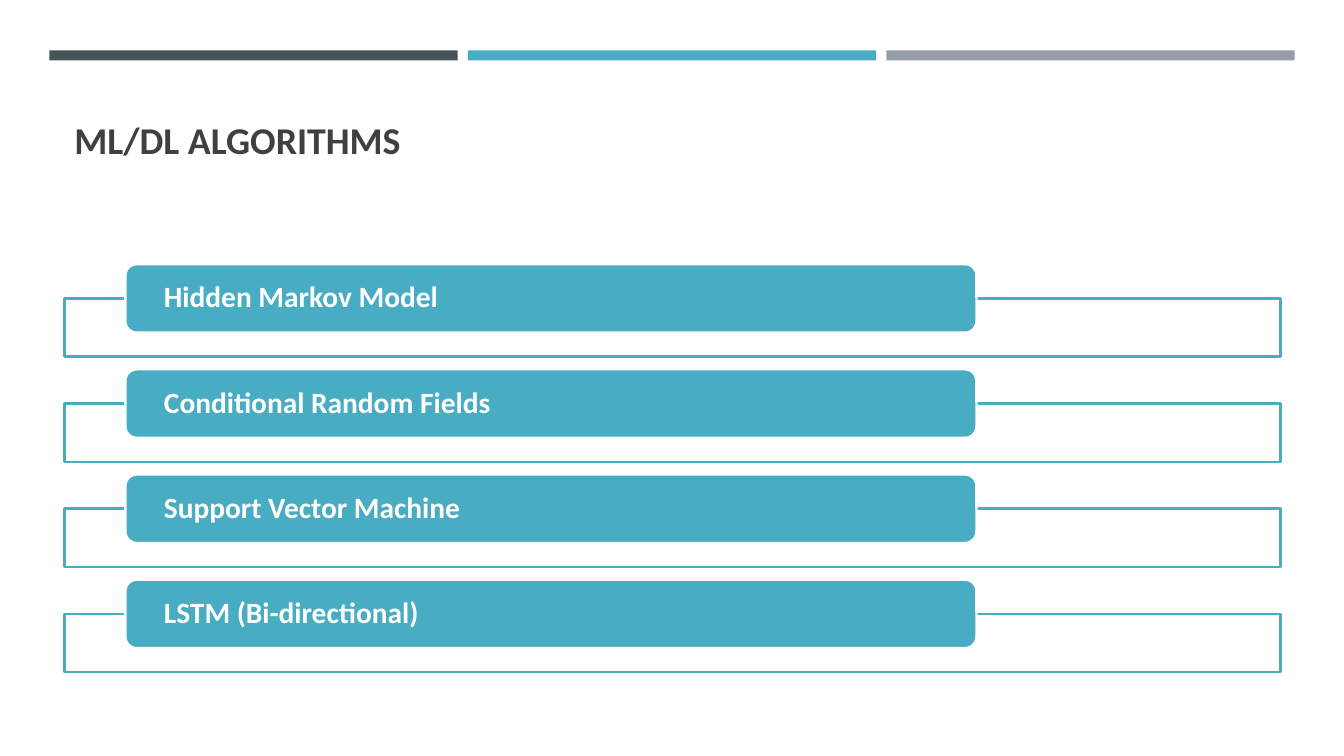
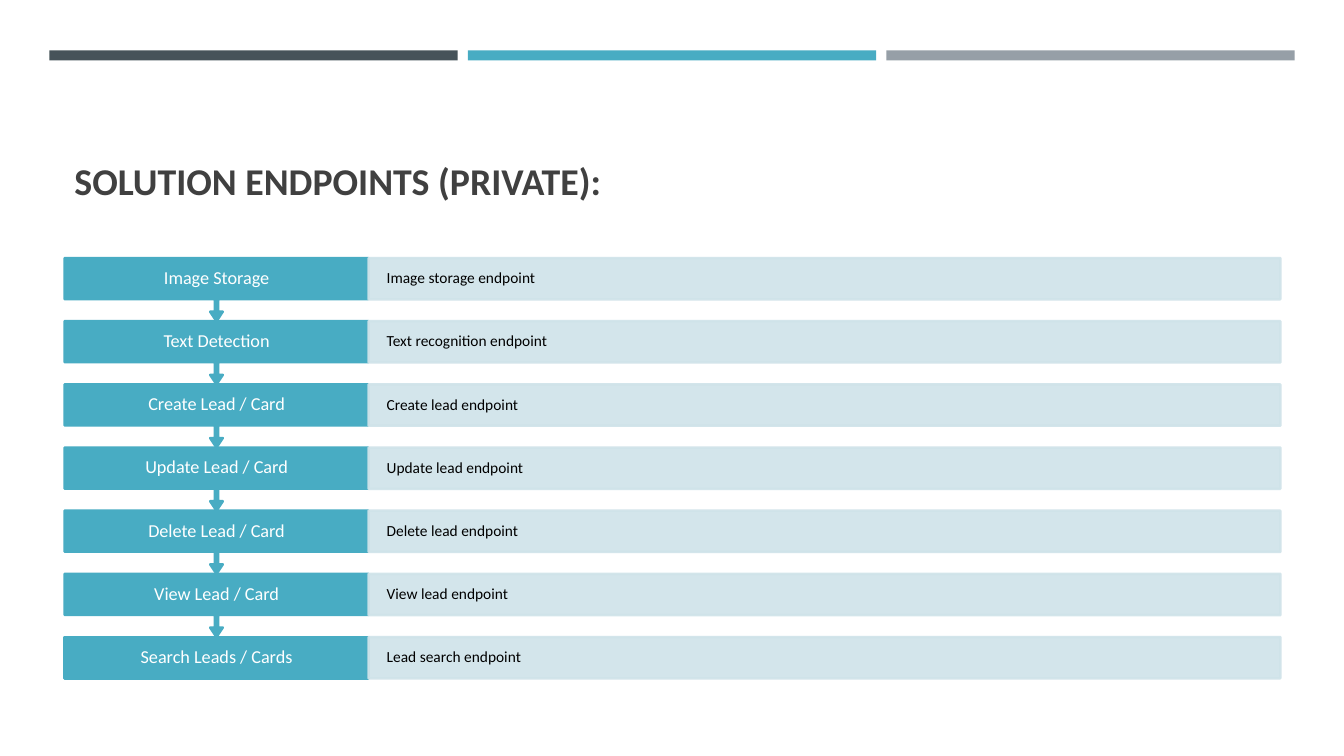
from dataclasses import dataclass

from lxml import etree
from pptx import Presentation
from pptx.dml.color import RGBColor
from pptx.enum.shapes import MSO_SHAPE
from pptx.enum.text import MSO_ANCHOR, PP_ALIGN
from pptx.oxml.ns import qn
from pptx.util import Inches, Pt


@dataclass(frozen=True)
class Theme:
    font: str = "Calibri"
    dark: str = "465359"
    accent: str = "48ACC3"
    grey: str = "969FA7"
    pale: str = "CFE3E9"
    white: str = "FFFFFF"
    black: str = "000000"
    heading: str = "404040"
    title_size: int = 27
    tab_size: int = 21
    step_size: int = 13
    note_size: int = 11
    line_width: float = 1.75
    line_spacing: float = 0.9


@dataclass(frozen=True)
class Box:
    """A rectangle in inches."""
    x: float
    y: float
    w: float
    h: float

    def emu(self):
        return [Inches(v) for v in (self.x, self.y, self.w, self.h)]

    def share(self, x, y, w, h):
        return Box(self.x + x * self.w, self.y + y * self.h, w * self.w, h * self.h)

    def rows(self, n, height):
        """Split into n rows of one height, spread evenly from top to bottom."""
        pitch = (self.h - height) / (n - 1)
        return [Box(self.x, self.y + i * pitch, self.w, height) for i in range(n)]

    def columns(self, n, gap):
        w = (self.w - gap * (n - 1)) / n
        return [Box(self.x + i * (w + gap), self.y, w, self.h) for i in range(n)]


T = Theme()
BARS = Box(0.49, 0.5, 12.35, 0.1)
TITLE = Box(0.64, 0.77, 12.06, 1.3)
TABS = Box(0.64, 2.62, 12.06, 4.05)
STEPS = Box(0.64, 2.56, 12.06, 4.17)

ALGORITHMS = [
    "Hidden Markov Model",
    "Conditional Random Fields",
    "Support Vector Machine",
    "LSTM (Bi-directional)",
]
ENDPOINTS = [
    ("Image Storage", "Image storage endpoint"),
    ("Text Detection", "Text recognition endpoint"),
    ("Create Lead / Card", "Create lead endpoint"),
    ("Update Lead / Card", "Update lead endpoint"),
    ("Delete Lead / Card", "Delete lead endpoint"),
    ("View Lead / Card", "View lead endpoint"),
    ("Search Leads / Cards", "Lead search endpoint"),
]


def paint(fill, color, alpha=100):
    fill.solid()
    fill.fore_color.rgb = RGBColor.from_string(color)
    if alpha < 100:
        # The colour's XML is the only place that holds transparency.
        for clr in fill._xPr.iter(qn("a:srgbClr")):
            etree.SubElement(clr, qn("a:alpha"), val=str(alpha * 1000))


def add_shape(s, kind, box, fill, line=None, alpha=100, line_alpha=100):
    sp = s.shapes.add_shape(kind, *box.emu())
    sp.shadow.inherit = False
    paint(sp.fill, fill, alpha)
    if line:
        sp.line.width = Pt(T.line_width)
        paint(sp.line.fill, line, line_alpha)
    else:
        sp.line.fill.background()
    return sp


def write(sp, text, size, color=T.white, bold=False, align=PP_ALIGN.LEFT,
          anchor=MSO_ANCHOR.MIDDLE, side=0.1, bottom=0):
    tf = sp.text_frame
    tf.word_wrap = True
    tf.vertical_anchor = anchor
    tf.margin_left = tf.margin_right = Inches(side)
    tf.margin_top, tf.margin_bottom = 0, Inches(bottom)
    p = tf.paragraphs[0]
    p.alignment = align
    p.line_spacing = T.line_spacing
    r = p.add_run()
    r.text = text
    r.font.name = T.font
    r.font.size = Pt(size)
    r.font.bold = bold
    r.font.color.rgb = RGBColor.from_string(color)


def add_titled_slide(prs, title, lift=0.05):
    """Add a slide with the bands and a title set lift inches above its box's foot."""
    s = prs.slides.add_slide(prs.slide_layouts[6])
    for box, color in zip(BARS.columns(3, 0.1), (T.dark, T.accent, T.grey)):
        add_shape(s, MSO_SHAPE.RECTANGLE, box, color)
    write(s.shapes.add_textbox(*TITLE.emu()), title, T.title_size, T.heading,
          bold=True, anchor=MSO_ANCHOR.BOTTOM, bottom=lift)
    return s


def add_tab_list(s, box, items):
    for row, text in zip(box.rows(len(items), 0.92), items):
        add_shape(s, MSO_SHAPE.RECTANGLE, row.share(0, 0.37, 1, 0.63),
                  T.white, T.accent, alpha=90)
        tab = add_shape(s, MSO_SHAPE.ROUNDED_RECTANGLE, row.share(0.05, 0, 0.7, 0.74),
                        T.accent, T.white)
        write(tab, text, T.tab_size, bold=True, side=0.35)


def add_step_list(s, box, steps):
    """Stack the steps from the bottom up, so that each arrow overlaps the next step."""
    rows = box.rows(len(steps), 0.41)
    pitch = rows[1].y - rows[0].y
    for i, (row, (name, note)) in reversed(list(enumerate(zip(rows, steps)))):
        head = row.share(0, 0, 0.25, 1)
        if i == len(steps) - 1:
            step = add_shape(s, MSO_SHAPE.RECTANGLE, head, T.accent, T.accent)
        else:
            step = add_shape(s, MSO_SHAPE.DOWN_ARROW_CALLOUT,
                             Box(head.x, head.y, head.w, pitch), T.accent, T.accent)
            for k, value in enumerate((0.05, 0.1, 0.15, 0.65)):
                step.adjustments[k] = value
        write(step, name, T.step_size, align=PP_ALIGN.CENTER, side=0.21)
        panel = add_shape(s, MSO_SHAPE.RECTANGLE, row.share(0.25, 0, 0.75, 1),
                          T.pale, T.pale, alpha=90, line_alpha=90)
        write(panel, note, T.note_size, T.black, side=0.18)


def main():
    prs = Presentation()
    prs.slide_width, prs.slide_height = Inches(13.33), Inches(7.5)
    add_tab_list(add_titled_slide(prs, "ML/DL ALGORITHMS", lift=0.5), TABS, ALGORITHMS)
    add_step_list(add_titled_slide(prs, "SOLUTION ENDPOINTS (PRIVATE):"), STEPS, ENDPOINTS)
    prs.save("out.pptx")


if __name__ == "__main__":
    main()
